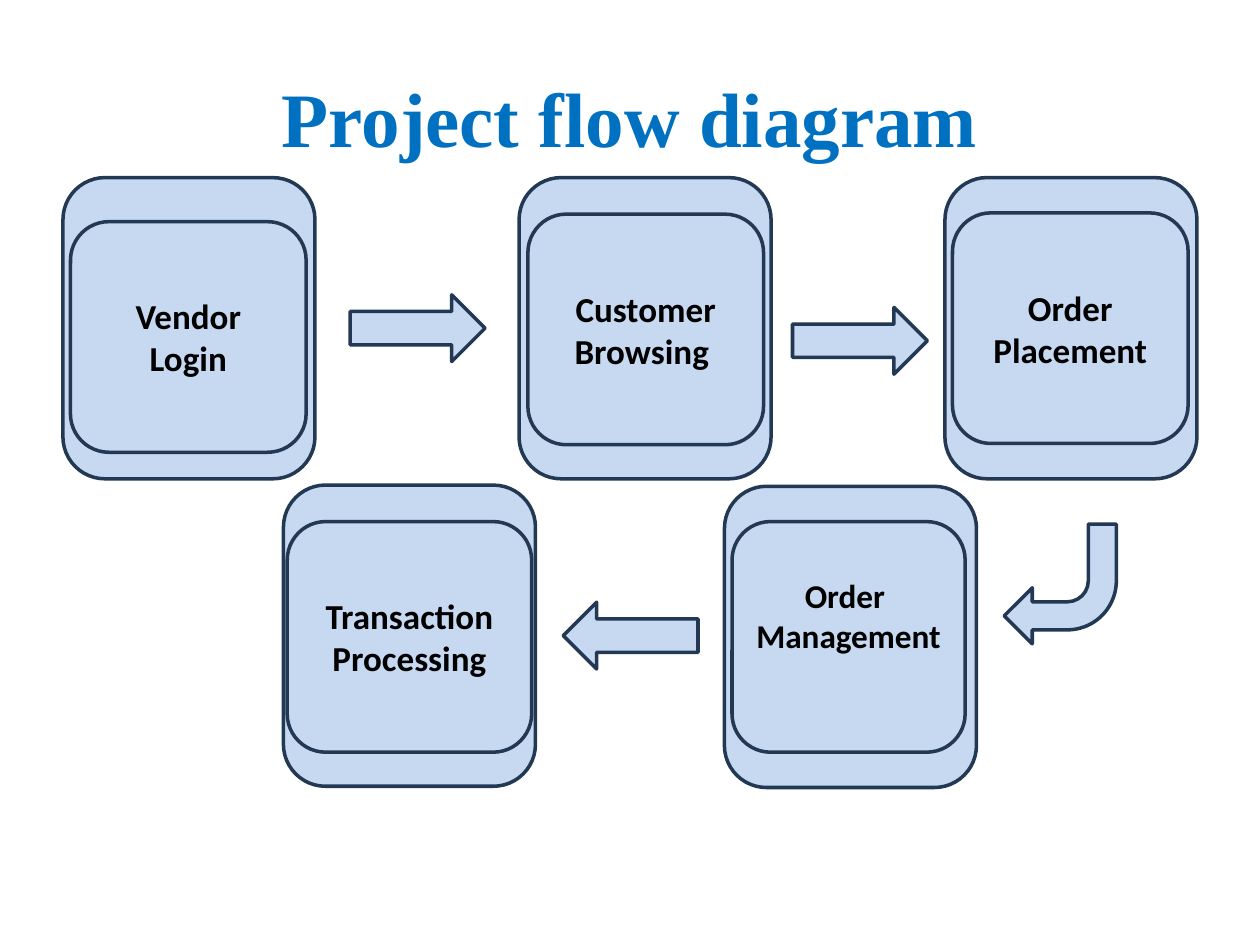
from pptx import Presentation, util as u
from pptx.dml.color import RGBColor
from pptx.enum import shapes, text

Inches = u.Inches
Kind = shapes.MSO_SHAPE


def tint(code):
    return RGBColor.from_string(code)


class Deck:
    """Holds the style and the current slide of the flow diagram."""

    fill, edge, ink, blue = "C6D9F1", "233953", "000000", "0070C0"

    def __init__(self, slide):
        self.slide = slide

    def words(self, frame, lines, size, font, hue):
        frame.word_wrap = True
        frame.vertical_anchor = text.MSO_ANCHOR.MIDDLE
        for i, line in enumerate(lines):
            para = frame.add_paragraph() if i else frame.paragraphs[0]
            para.alignment = text.PP_ALIGN.CENTER
            run = para.add_run()
            run.text = line
            run.font.size = u.Pt(size)
            run.font.name = font
            run.font.bold = True
            run.font.color.rgb = tint(hue)

    def title(self, line, *area):
        box = self.slide.shapes.add_textbox(*map(Inches, area))
        self.words(box.text_frame, [line], 44, "Times New Roman", self.blue)

    def shape(self, kind, *area, turn=0):
        item = self.slide.shapes.add_shape(kind, *map(Inches, area))
        item.shadow.inherit = False
        item.fill.solid()
        item.fill.fore_color.rgb = tint(self.fill)
        item.line.color.rgb = tint(self.edge)
        item.line.width = u.Pt(2)
        item.rotation = turn
        return item

    def card(self, left, top):
        self.shape(Kind.ROUNDED_RECTANGLE, left, top, 2, 2.39)

    def label(self, lines, left, top, width, size=20, side=0.12, foot=0.05):
        item = self.shape(Kind.ROUNDED_RECTANGLE, left, top, width, 1.83)
        frame = item.text_frame
        frame.margin_left = frame.margin_right = Inches(side)
        frame.margin_bottom = Inches(foot)
        self.words(frame, lines, size, "Calibri", self.ink)

    def arrow(self, kind, left, top):
        self.shape(kind, left, top, 1.07, 0.53)

    def bend(self, left, top):
        self.shape(Kind.BENT_ARROW, left, top, 0.89, 0.95, turn=180)


def main():
    show = Presentation()
    show.slide_width, show.slide_height = Inches(10), Inches(7.5)
    deck = Deck(show.slides.add_slide(show.slide_layouts[6]))

    deck.title("Project flow diagram", 0.5, 0.3, 9, 1.25)
    for left, top in [(0.5, 1.41), (4.12, 1.41), (7.5, 1.41),
                      (2.25, 3.85), (5.75, 3.86)]:
        deck.card(left, top)

    for line, left, top, width in [
        ("Vendor Login", 0.56, 1.76, 1.87),
        ("Customer Browsing ", 4.19, 1.7, 1.87),
        ("Order Placement", 7.56, 1.69, 1.87),
        ("Transaction Processing", 2.28, 4.14, 1.94),
    ]:
        deck.label([line], left, top, width)
    deck.label(["Order ", "Management"], 5.81, 4.14, 1.85,
               size=19, side=0.05, foot=0.39)

    deck.arrow(Kind.RIGHT_ARROW, 2.78, 2.34)
    deck.arrow(Kind.RIGHT_ARROW, 6.29, 2.44)
    deck.bend(7.97, 4.16)
    deck.arrow(Kind.LEFT_ARROW, 4.47, 4.78)
    show.save("out.pptx")


if __name__ == "__main__":
    main()
